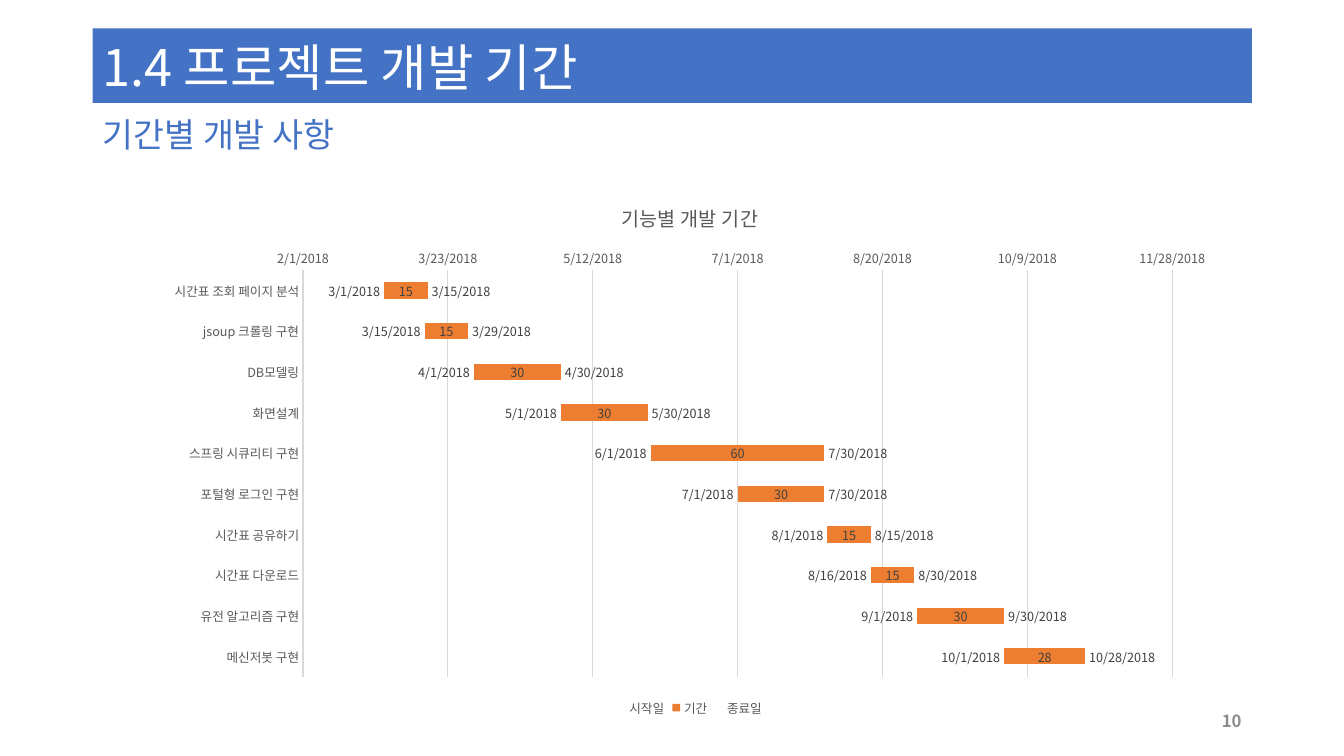
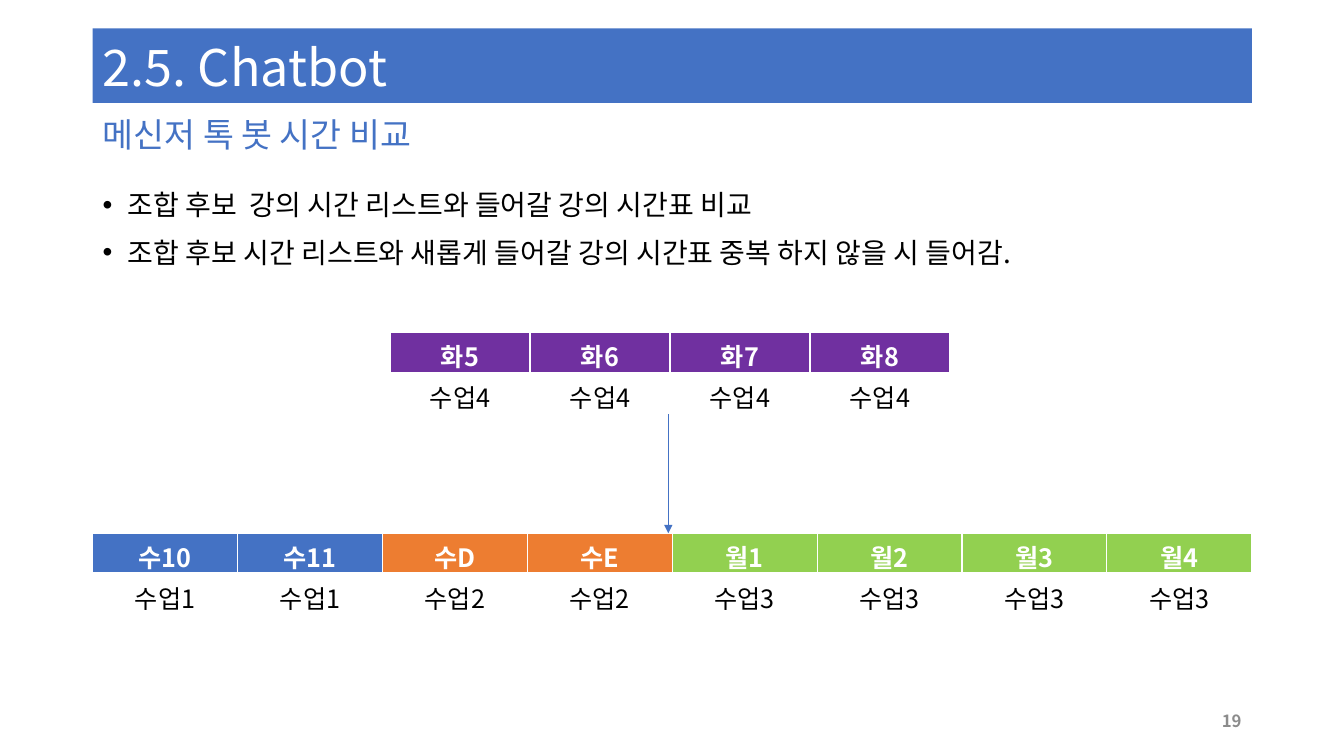
from lxml import etree
from pptx import Presentation
from pptx.chart.data import CategoryChartData
from pptx.dml.color import RGBColor
from pptx.enum.chart import XL_CHART_TYPE, XL_LABEL_POSITION, XL_LEGEND_POSITION, XL_TICK_MARK
from pptx.enum.shapes import MSO_CONNECTOR
from pptx.enum.text import MSO_ANCHOR, MSO_AUTO_SIZE, PP_ALIGN
from pptx.oxml.ns import qn
from pptx.util import Pt

LEFT, CENTER, RIGHT = PP_ALIGN.LEFT, PP_ALIGN.CENTER, PP_ALIGN.RIGHT
TOP, MIDDLE, BOTTOM = MSO_ANCHOR.TOP, MSO_ANCHOR.MIDDLE, MSO_ANCHOR.BOTTOM
NO_FIT = MSO_AUTO_SIZE.NONE
STACKED_BAR = XL_CHART_TYPE.BAR_STACKED
NO_TICK = XL_TICK_MARK.NONE
LEGEND_BOTTOM = XL_LEGEND_POSITION.BOTTOM
LABEL_END = XL_LABEL_POSITION.INSIDE_END
LABEL_CENTER = XL_LABEL_POSITION.CENTER
LABEL_BASE = XL_LABEL_POSITION.INSIDE_BASE
STRAIGHT = MSO_CONNECTOR.STRAIGHT

FONT = "Noto Sans CJK KR"
COLORS = {
    "blue": "4472C4", "orange": "ED7D31", "green": "92D050", "purple": "7030A0",
    "white": "FFFFFF", "black": "000000", "number": "8C8C8C",
    "axis": "595959", "label": "404040", "grid": "D9D9D9",
}
MARGIN, CONTENT_WIDTH = 66.2, 828
TITLE_LAYOUT, LIST_LAYOUT = 1, 3
DATE_FORMAT = "m/d/yyyy"

TASKS = [
    ("시간표 조회 페이지 분석", 43160, 15, 43174),
    ("jsoup 크롤링 구현", 43174, 15, 43188),
    ("DB모델링", 43191, 30, 43220),
    ("화면설계", 43221, 30, 43250),
    ("스프링 시큐리티 구현", 43252, 60, 43311),
    ("포털형 로그인 구현", 43282, 30, 43311),
    ("시간표 공유하기", 43313, 15, 43327),
    ("시간표 다운로드", 43328, 15, 43342),
    ("유전 알고리즘 구현", 43344, 30, 43373),
    ("메신저봇 구현", 43374, 28, 43401),
]
CANDIDATE_LESSONS = [(f"화{hour}", "수업4", "purple") for hour in range(5, 9)]
CHOSEN_LESSONS = [
    ("수10", "수업1", "blue"), ("수11", "수업1", "blue"),
    ("수D", "수업2", "orange"), ("수E", "수업2", "orange"),
] + [(f"월{hour}", "수업3", "green") for hour in range(1, 5)]


def rgb(name):
    """Return the named palette colour."""
    return RGBColor.from_string(COLORS[name])


class Deck:
    """Holds the presentation style and the current slide."""

    def __init__(self):
        """Start an empty widescreen presentation."""
        self.show = Presentation()
        self.show.slide_width, self.show.slide_height = Pt(960), Pt(540)
        self.page = None

    def add_page(self, layout, title, subtitle, number):
        """Add a slide with its title band, subtitle and page number."""
        self.page = self.show.slides.add_slide(self.show.slide_layouts[layout])
        band = self.page.shapes.title
        band.fill.solid()
        band.fill.fore_color.rgb = rgb("blue")
        self.place(band, 20.2, 53.3, BOTTOM)
        self.add_span(band.text_frame.paragraphs[0], title, 36, "white", spacing=0.9)
        heading = self.page.placeholders[1]
        self.place(heading, 80.6, 34.6, MIDDLE)
        para = heading.text_frame.paragraphs[0]
        self.bullet(para, None, 0)
        self.add_span(para, subtitle, 24, "blue", spacing=0.9)
        box = self.page.shapes.add_textbox(Pt(678), Pt(500.4), Pt(216), Pt(28.8))
        box.text_frame.word_wrap = True
        box.text_frame.vertical_anchor = MIDDLE
        self.add_span(box.text_frame.paragraphs[0], number, 12, "number", RIGHT, bold=True)

    def place(self, box, top, height, anchor):
        """Set a placeholder across the content width."""
        box.left, box.top = Pt(MARGIN), Pt(top)
        box.width, box.height = Pt(CONTENT_WIDTH), Pt(height)
        frame = box.text_frame
        frame.word_wrap, frame.auto_size, frame.vertical_anchor = True, NO_FIT, anchor

    def bullet(self, para, mark, indent):
        """Give a paragraph a hanging bullet, or none."""
        properties = para._p.get_or_add_pPr()
        properties.set("marL", str(Pt(indent)))
        properties.set("indent", str(-Pt(indent)))
        if mark:
            etree.SubElement(properties, qn("a:buChar"), char=mark)
        else:
            etree.SubElement(properties, qn("a:buNone"))

    def add_span(self, para, text, size, color, align=LEFT, bold=False, spacing=1.0, before=0):
        """Add one styled run to a paragraph."""
        para.alignment, para.line_spacing, para.space_before = align, spacing, Pt(before)
        span = para.add_run()
        span.text = text
        self.style(span.font, size, color, bold)

    def style(self, font, size, color, bold=False):
        """Apply the deck typeface with a size and colour."""
        font.size, font.bold, font.name = Pt(size), bold, FONT
        font.color.rgb = rgb(color)
        latin = font._element.find(qn("a:latin"))
        latin.addnext(latin.makeelement(qn("a:ea"), {"typeface": FONT}))

    def add_list(self, lines):
        """Fill the second body placeholder with bullets."""
        box = self.page.placeholders[2]
        self.place(box, 130.6, 356.4, TOP)
        frame = box.text_frame
        for index, line in enumerate(lines):
            para = frame.add_paragraph() if index else frame.paragraphs[0]
            self.bullet(para, "•", 18)
            self.add_span(para, line, 20, "black", before=10 if index else 0)

    def add_timetable(self, lessons, left, top, width):
        """Add a table with coloured hours above their lessons."""
        table = self.page.shapes.add_table(
            2, len(lessons), Pt(left), Pt(top), Pt(width), Pt(58.4)).table
        table.horz_banding = False
        for index, (hour, lesson, color) in enumerate(lessons):
            table.columns[index].width = Pt(width / len(lessons))
            self.fill_cell(table.cell(0, index), hour, color, "white", True)
            self.fill_cell(table.cell(1, index), lesson, "white", "black", False)

    def fill_cell(self, cell, text, fill, color, header):
        """Fill a table cell and give it white borders."""
        cell.fill.solid()
        cell.fill.fore_color.rgb = rgb(fill)
        self.add_span(cell.text_frame.paragraphs[0], text, 18, color, CENTER, header)
        properties = cell._tc.get_or_add_tcPr()
        for index, side in enumerate(("lnL", "lnR", "lnT", "lnB")):
            width = Pt(3 if header and side == "lnB" else 1)
            border = properties.makeelement(qn(f"a:{side}"), {"w": str(width)})
            paint = etree.SubElement(border, qn("a:solidFill"))
            etree.SubElement(paint, qn("a:srgbClr"), val=COLORS["white"])
            properties.insert(index, border)

    def add_arrow(self, x, top, bottom):
        """Add a thin arrow pointing down."""
        arrow = self.page.shapes.add_connector(STRAIGHT, Pt(x), Pt(top), Pt(x), Pt(bottom))
        arrow.line.color.rgb = rgb("blue")
        arrow.line.width = Pt(0.5)
        etree.SubElement(arrow.line._get_or_add_ln(), qn("a:tailEnd"), type="triangle")
        etree.SubElement(arrow._element.spPr, qn("a:effectLst"))

    def add_schedule(self, title, tasks):
        """Add a Gantt chart made of stacked bars."""
        names, starts, lengths, ends = zip(*tasks)
        data = CategoryChartData()
        data.categories = names
        data.add_series("시작일", starts, DATE_FORMAT)
        data.add_series("기간", lengths, "General")
        data.add_series("종료일", ends, DATE_FORMAT)
        chart = self.page.shapes.add_chart(
            STACKED_BAR, Pt(109.4), Pt(129.6), Pt(766.8), Pt(385.2), data).chart
        self.style(chart.font, 10, "black")
        chart.has_title = True
        self.add_span(chart.chart_title.text_frame.paragraphs[0], title, 14, "axis", CENTER)
        chart.chart_title.include_in_layout = False
        chart.has_legend = True
        chart.legend.position = LEGEND_BOTTOM
        chart.legend.include_in_layout = False
        self.style(chart.legend.font, 9, "axis")
        self.style_axes(chart.category_axis, chart.value_axis)
        plot = chart.plots[0]
        plot.gap_width, plot.overlap, plot.vary_by_categories = 150, 100, False
        looks = [(None, LABEL_END, DATE_FORMAT), ("orange", LABEL_CENTER, "General"),
                 (None, LABEL_BASE, DATE_FORMAT)]
        for series, look in zip(plot.series, looks):
            self.style_series(series, *look)

    def style_axes(self, tasks, dates):
        """Put tasks from the top down and dates above them."""
        for axis in (tasks, dates):
            axis.major_tick_mark = axis.minor_tick_mark = NO_TICK
            self.style(axis.tick_labels.font, 9, "axis")
        tasks.reverse_order = True
        tasks.has_major_gridlines = False
        dates.has_major_gridlines = True
        for line in (tasks.format.line, dates.major_gridlines.format.line):
            line.color.rgb = rgb("grid")
            line.width = Pt(0.75)
        dates.format.line.fill.background()
        dates.minimum_scale, dates.maximum_scale, dates.major_unit = 43132, 43434, 50
        dates.tick_labels.number_format = DATE_FORMAT
        dates.tick_labels.number_format_is_linked = False

    def style_series(self, series, color, position, number_format):
        """Colour or hide a series and show its values."""
        if color:
            series.format.fill.solid()
            series.format.fill.fore_color.rgb = rgb(color)
        else:
            series.format.fill.background()
        series.format.line.fill.background()
        labels = series.data_labels
        labels.show_value, labels.position = True, position
        labels.number_format, labels.number_format_is_linked = number_format, False
        self.style(labels.font, 9, "label")


def main():
    """Build and save both slides."""
    deck = Deck()
    deck.add_page(TITLE_LAYOUT, "1.4 프로젝트 개발 기간", "기간별 개발 사항", "10")
    deck.add_schedule("기능별 개발 기간", TASKS)

    deck.add_page(LIST_LAYOUT, "2.5. Chatbot", "메신저 톡 봇 시간 비교", "19")
    deck.add_list([
        "조합 후보  강의 시간 리스트와 들어갈 강의 시간표 비교",
        "조합 후보 시간 리스트와 새롭게 들어갈 강의 시간표 중복 하지 않을 시 들어감.",
    ])
    deck.add_timetable(CHOSEN_LESSONS, MARGIN, 380.9, CONTENT_WIDTH)
    deck.add_timetable(CANDIDATE_LESSONS, 278.6, 237.6, 400)
    deck.add_arrow(477.4, 295.9, 380.9)
    deck.show.save("out.pptx")


if __name__ == "__main__":
    main()
